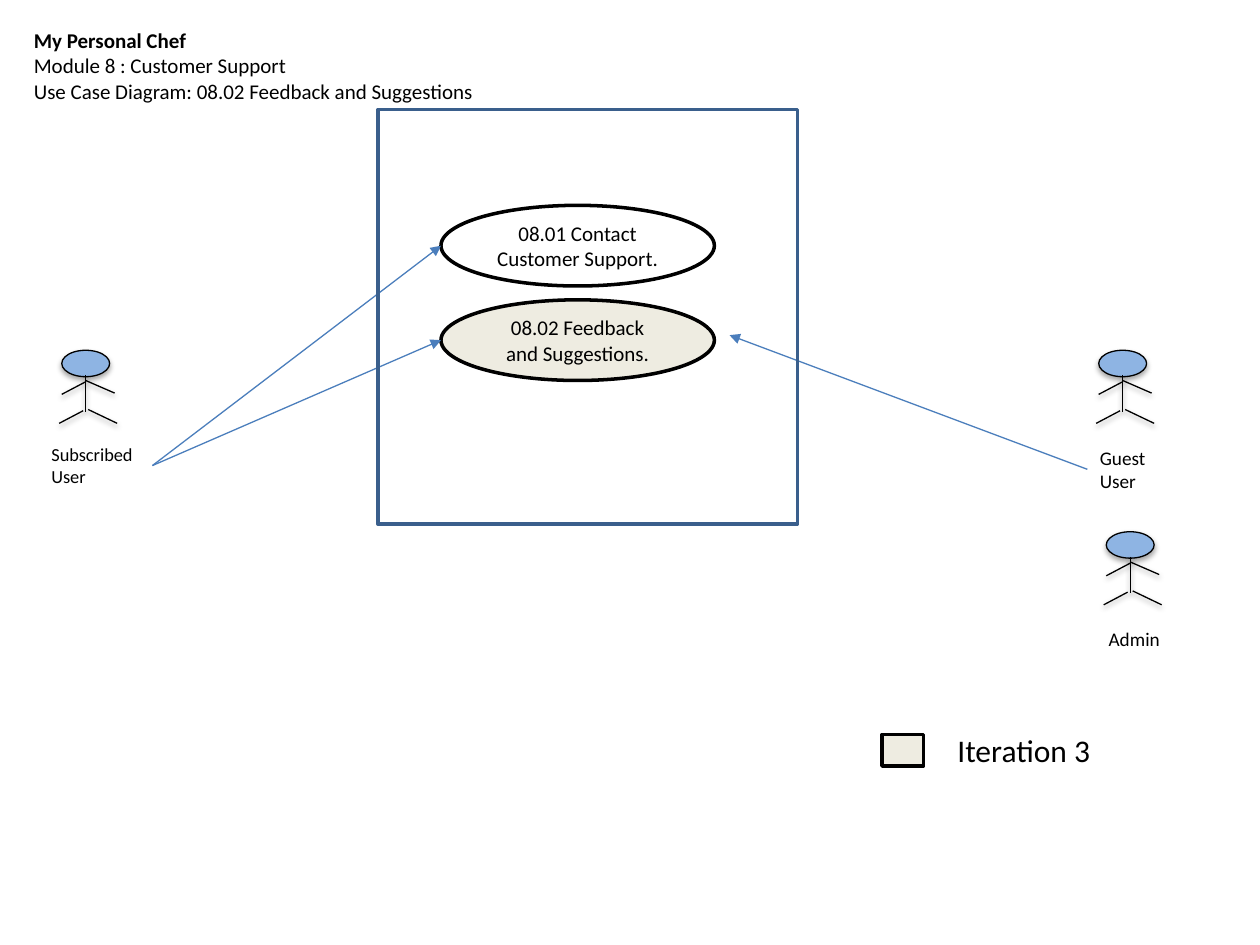
from dataclasses import dataclass

import pptx
import pptx.dml.color
import pptx.enum.shapes
import pptx.enum.text
import pptx.oxml
import pptx.oxml.ns
import pptx.util

Inches = pptx.util.Inches
Pt = pptx.util.Pt
Shapes = pptx.enum.shapes.MSO_SHAPE
BLACK = "000000"
CREAM = "EEECE1"
HEAD_BLUE = "8EB4E3"
ARROW_BLUE = "4B7EBC"
FRAME_BLUE = "3A5F8C"
LIMBS = [
    ((0.19, 0.20), (0.19, 0.49)),
    ((0.19, 0.25), (0.00, 0.35)),
    ((0.17, 0.48), (-0.02, 0.58)),
    ((0.19, 0.24), (0.42, 0.34)),
    ((0.21, 0.47), (0.44, 0.58)),
]


@dataclass
class Box:
    left: float
    top: float
    width: float
    height: float

    def lengths(self):
        return [Inches(n) for n in (self.left, self.top, self.width, self.height)]


@dataclass
class Actor:
    left: float
    top: float
    name: str
    label: Box
    size: float


@dataclass
class UseCase:
    name: str
    top: float
    fill: str | None


ACTORS = [
    Actor(0.49, 2.78, "Subscribed User", Box(0.31, 3.47, 0.90, 0.45), 10.5),
    Actor(8.72, 2.78, "Guest User", Box(8.63, 3.49, 0.68, 0.47), 11),
    Actor(8.78, 4.22, "Admin", Box(8.70, 4.93, 0.68, 0.29), 11),
]
USE_CASES = [
    UseCase("08.01 Contact Customer Support.", 1.63, None),
    UseCase("08.02 Feedback and Suggestions.", 2.38, CREAM),
]


def color(value: str):
    return pptx.dml.color.RGBColor.from_string(value)


def set_effects(shape, shadow_alpha: int = 0, distance: float = 0) -> None:
    effects = pptx.oxml.parse_xml(f"<a:effectLst {pptx.oxml.ns.nsdecls('a')}/>")
    if shadow_alpha:
        effects.append(pptx.oxml.parse_xml(
            f'<a:outerShdw {pptx.oxml.ns.nsdecls("a")} blurRad="{Pt(3.1)}" '
            f'dist="{Pt(distance)}" dir="5400000" rotWithShape="0">'
            f'<a:srgbClr val="{BLACK}"><a:alpha val="{shadow_alpha * 1000}"/></a:srgbClr>'
            "</a:outerShdw>"
        ))
    shape.element.spPr.append(effects)


def add_text(paragraph, text: str, size: float, bold: bool = False) -> None:
    run = paragraph.add_run()
    run.text = text
    run.font.name = "Calibri"
    run.font.size = Pt(size)
    run.font.bold = bold
    run.font.color.rgb = color(BLACK)


def add_text_box(shapes, box: Box, lines: list[str], size: float, bold_first: bool = False):
    text_box = shapes.add_textbox(*box.lengths())
    frame = text_box.text_frame
    frame.word_wrap = True
    for index, line in enumerate(lines):
        paragraph = frame.add_paragraph() if index else frame.paragraphs[0]
        add_text(paragraph, line, size, bold_first and index == 0)
    return text_box


def add_outline(shapes, kind, box: Box, fill: str | None, line: str, width: float):
    shape = shapes.add_shape(kind, *box.lengths())
    if fill:
        shape.fill.solid()
        shape.fill.fore_color.rgb = color(fill)
    else:
        shape.fill.background()
    shape.line.color.rgb = color(line)
    shape.line.width = Pt(width)
    return shape


def add_line(shapes, start: tuple, end: tuple, line: str):
    points = [Inches(n) for n in (*start, *end)]
    connector = shapes.add_connector(pptx.enum.shapes.MSO_CONNECTOR.STRAIGHT, *points)
    connector.line.color.rgb = color(line)
    connector.line.width = Pt(0.75)
    return connector


def add_actor(slide, actor: Actor):
    shapes = slide.shapes.add_group_shape().shapes
    head_box = Box(actor.left, actor.top, 0.38, 0.21)
    head = add_outline(shapes, Shapes.OVAL, head_box, HEAD_BLUE, BLACK, 0.75)
    set_effects(head, 35, 1.8)
    for limb in LIMBS:
        start, end = [(actor.left + x, actor.top + y) for x, y in limb]
        set_effects(add_line(shapes, start, end, BLACK), 38, 1.6)
    return add_text_box(shapes, actor.label, [actor.name], actor.size)


def add_use_case(slide, case: UseCase) -> None:
    box = Box(3.5, case.top, 2.17, 0.64)
    ellipse = add_outline(slide.shapes, Shapes.OVAL, box, case.fill, BLACK, 2)
    set_effects(ellipse)
    frame = ellipse.text_frame
    frame.word_wrap = True
    frame.vertical_anchor = pptx.enum.text.MSO_ANCHOR.MIDDLE
    paragraph = frame.paragraphs[0]
    paragraph.alignment = pptx.enum.text.PP_ALIGN.CENTER
    add_text(paragraph, case.name, 12)


def add_arrow(slide, label, side: int, end: tuple) -> None:
    arrow = add_line(slide.shapes, (0, 0), end, ARROW_BLUE)
    arrow.begin_connect(label, side)
    arrow.line._get_or_add_ln().append(pptx.oxml.parse_xml(
        f'<a:tailEnd {pptx.oxml.ns.nsdecls("a")} type="triangle"/>'
    ))
    set_effects(arrow)


def main() -> None:
    presentation = pptx.Presentation()
    presentation.slide_width = Inches(10)
    presentation.slide_height = Inches(7.5)
    slide = presentation.slides.add_slide(presentation.slide_layouts[6])
    heading = [
        "My Personal Chef",
        "Module 8 : Customer Support",
        "Use Case Diagram: 08.02 Feedback and Suggestions",
    ]
    add_text_box(slide.shapes, Box(0.17, 0.17, 4.08, 0.71), heading, 12, True)
    subscribed, guest, _ = [add_actor(slide, actor) for actor in ACTORS]
    for case in USE_CASES:
        add_use_case(slide, case)
        add_arrow(slide, subscribed, 3, (3.5, case.top + 0.32))
    add_arrow(slide, guest, 1, (5.79, 2.66))
    legend = Box(7, 5.83, 0.33, 0.25)
    set_effects(add_outline(slide.shapes, Shapes.RECTANGLE, legend, CREAM, BLACK, 2))
    add_text_box(slide.shapes, Box(7.5, 5.75, 1.92, 0.4), ["Iteration 3"], 18)
    system = Box(3, 0.87, 3.33, 3.29)
    set_effects(add_outline(slide.shapes, Shapes.RECTANGLE, system, None, FRAME_BLUE, 2))
    presentation.save("out.pptx")


if __name__ == "__main__":
    main()
